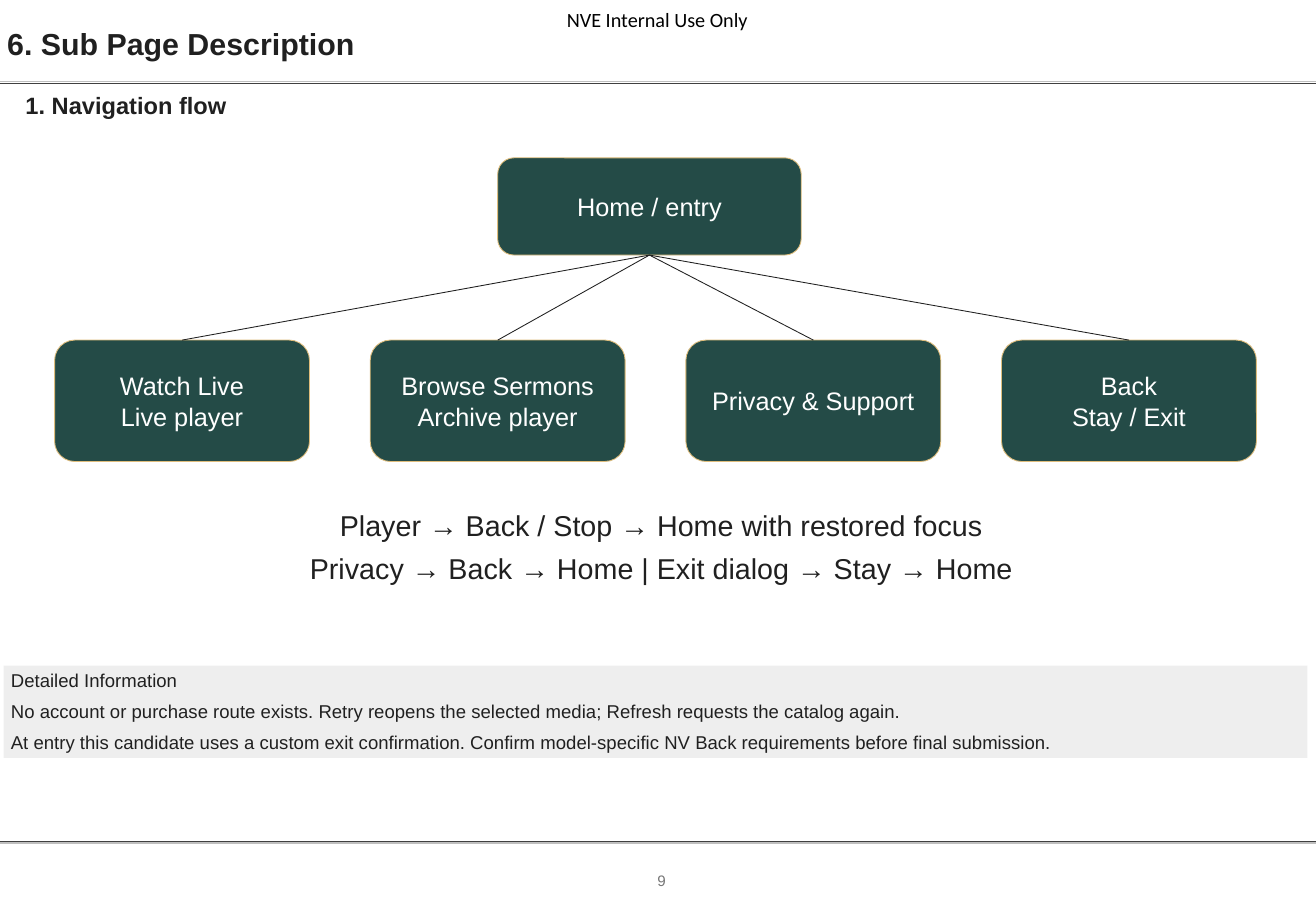
from lxml import etree
from pptx import Presentation
from pptx.dml.color import RGBColor
from pptx.enum.shapes import MSO_CONNECTOR as Connector, MSO_SHAPE as Shape
from pptx.enum.text import MSO_ANCHOR as Anchor, PP_ALIGN as Align
from pptx.oxml.ns import qn
from pptx.util import Inches, Pt

WIDTH, HEIGHT = 10.84, 7.5
COLORS = {
    "ink": "202020", "black": "000000", "white": "FFFFFF", "number": "777777",
    "node": "244B47", "node_edge": "DFBD7C", "panel": "EEEEEE",
    "rule": "404040", "rule_shade": "BFBFBF",
}
BOTTOM, TOP = 2, 0  # connection sites


def color(name):
    return RGBColor.from_string(COLORS[name])


def write(shape, lines, size, ink="ink", align=Align.LEFT, bold=False,
          font="Arial", after=5.1, anchor=Anchor.TOP, insets=(0.06, 0.03)):
    frame = shape.text_frame
    frame.word_wrap = True
    frame.vertical_anchor = anchor
    frame.margin_left = frame.margin_right = Inches(insets[0])
    frame.margin_top = frame.margin_bottom = Inches(insets[1])
    frame.text = "\n".join(lines)
    for para in frame.paragraphs:
        para.alignment = align
        para.space_after = Pt(after)
        for span in para.runs:
            span.font.name = font
            span.font.size = Pt(size)
            span.font.bold = bold
            span.font.color.rgb = color(ink)


def add_text(page, box, lines, size, **style):
    shape = page.shapes.add_textbox(*map(Inches, box))
    write(shape, lines, size, **style)


def add_block(page, kind, box, fill, edge=None):
    block = page.shapes.add_shape(kind, *map(Inches, box))
    block.shadow.inherit = False
    block.fill.solid()
    block.fill.fore_color.rgb = color(fill)
    if edge:
        block.line.color.rgb = color(edge)
        block.line.width = Pt(0.5)
    else:
        block.line.fill.background()
    return block


def add_line(page, start, end, ink, width):
    line = page.shapes.add_connector(Connector.STRAIGHT, *map(Inches, start + end))
    line.line.color.rgb = color(ink)
    line.line.width = Pt(width)
    etree.SubElement(line._element.spPr, qn("a:effectLst"))
    return line


def add_frame(page, number):
    """Rules, confidentiality mark and page number."""
    for ink, upper, lower in (("rule", 0.685, 6.93), ("rule_shade", 0.67, 6.94)):
        for y in (upper, lower):
            add_line(page, (0, y), (WIDTH, y), ink, 0.75)
    add_text(page, (4.5, 0.06, 1.83, 0.2), ["NVE Internal Use Only"], 12,
             ink="black", align=Align.CENTER, font="Calibri", after=0,
             anchor=Anchor.MIDDLE, insets=(0, 0))
    add_text(page, (4.5, 7.14, 1.9, 0.21), [number], 9,
             ink="number", align=Align.CENTER)


def add_headings(page, title, section):
    add_text(page, (0, 0.18, 9, 0.36), [title], 18, bold=True)
    add_text(page, (0.15, 0.72, 10, 0.29), [section], 14, bold=True)


def add_node(page, box, lines):
    node = add_block(page, Shape.ROUNDED_RECTANGLE, box, "node", "node_edge")
    write(node, lines, 15, ink="white", align=Align.CENTER, after=0,
          anchor=Anchor.MIDDLE, insets=(0.1, 0.05))
    return node


def add_navigation(page, box, root_lines, branches):
    """A root node joined to a row of evenly spaced branches."""
    left, top, width, height = box
    root_left, root_width, root_height = left + 3.65, 2.5, 0.8
    node_width, node_height = 2.1, 1
    root = add_node(page, (root_left, top, root_width, root_height), root_lines)
    fork = (root_left + root_width / 2, top + root_height)
    step = (width - node_width) / (len(branches) - 1)
    node_top = top + height - node_height
    for index, lines in enumerate(branches):
        node_left = left + index * step
        node = add_node(page, (node_left, node_top, node_width, node_height), lines)
        link = add_line(page, fork, (node_left + node_width / 2, node_top), "ink", 0.5)
        link.begin_connect(root, BOTTOM)
        link.end_connect(node, TOP)


def add_details(page, box, lines):
    panel = add_block(page, Shape.RECTANGLE, box, "panel")
    write(panel, lines, 11)


def main():
    deck = Presentation()
    deck.slide_width, deck.slide_height = Inches(WIDTH), Inches(HEIGHT)
    page = deck.slides.add_slide(deck.slide_layouts[6])

    add_frame(page, "9")
    add_headings(page, "6. Sub Page Description", "1. Navigation flow")
    add_navigation(page, (0.45, 1.3, 9.9, 2.5), ["Home / entry"], [
        ["Watch Live", "Live player"],
        ["Browse Sermons", "Archive player"],
        ["Privacy & Support"],
        ["Back", "Stay / Exit"],
    ])
    # Return routes
    add_text(page, (0.55, 4.15, 9.8, 0.7), [
        "Player → Back / Stop → Home with restored focus",
        "Privacy → Back → Home | Exit dialog → Stay → Home",
    ], 17, align=Align.CENTER)
    add_details(page, (0.03, 5.48, 10.74, 0.76), [
        "Detailed Information",
        "No account or purchase route exists. Retry reopens the selected media; "
        "Refresh requests the catalog again.",
        "At entry this candidate uses a custom exit confirmation. Confirm "
        "model-specific NV Back requirements before final submission.",
    ])
    deck.save("out.pptx")


if __name__ == "__main__":
    main()
